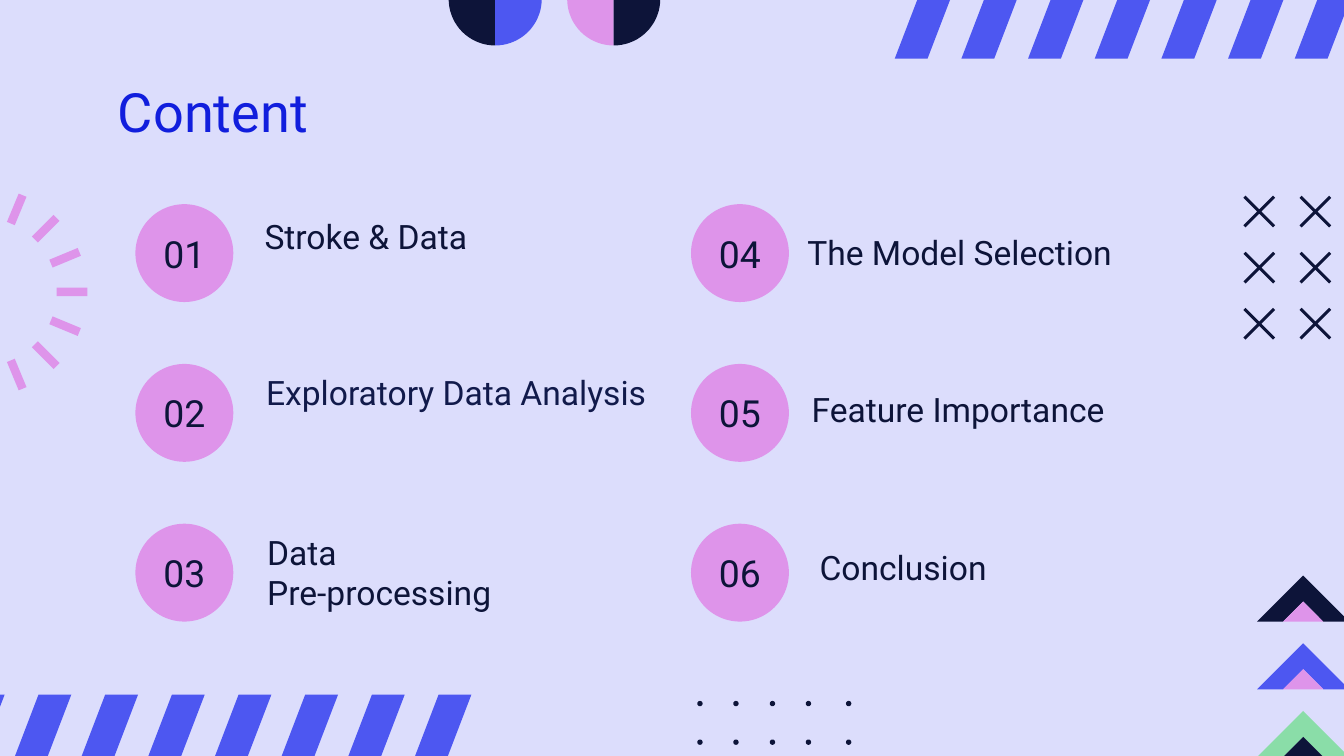
from math import cos, pi, sin

from pptx import Presentation
from pptx.dml.color import RGBColor
from pptx.enum.shapes import MSO_SHAPE
from pptx.enum.text import MSO_ANCHOR, MSO_AUTO_SIZE, PP_ALIGN
from pptx.util import Cm, Pt

FONT = "Roboto"
COLORS = {
    "background": "DCDDFC",
    "navy": "0D1439",
    "indigo": "111A4B",
    "blue": "4D57F1",
    "title": "111EDD",
    "pink": "DE94EA",
    "green": "8ADDA8",
}

# Number, label lines, label left, top, width (cm) and colour
TOPICS = [
    ("01", ["Stroke & Data"], 4.75, 3.84, 7.95, "navy"),
    ("02", ["Exploratory Data Analysis"], 4.78, 6.78, 7.95, "indigo"),
    ("03", ["Data", "Pre-processing"], 4.80, 9.80, 7.57, "navy"),
    ("04", ["The Model Selection"], 15.01, 4.14, 9.07, "navy"),
    ("05", ["Feature Importance"], 15.09, 7.11, 8.36, "navy"),
    ("06", ["Conclusion"], 15.24, 10.08, 7.95, "navy"),
]


def color(name):
    return RGBColor.from_string(COLORS[name])


def paint(shape, fill):
    shape.shadow.inherit = False
    shape.fill.solid()
    shape.fill.fore_color.rgb = color(fill)
    shape.line.fill.background()


def format_text(frame, lines, size, text_color, align=PP_ALIGN.LEFT, margin=0.25):
    frame.word_wrap = True
    frame.auto_size = MSO_AUTO_SIZE.NONE
    frame.margin_left = frame.margin_right = Cm(margin)
    frame.margin_top = frame.margin_bottom = Cm(margin)
    frame.text = "\n".join(lines)
    for paragraph in frame.paragraphs:
        paragraph.alignment = align
        paragraph.font.name = FONT
        paragraph.font.size = Pt(size)
        paragraph.font.color.rgb = color(text_color)


def add_outline(slide, contours, fill):
    """Draw one filled shape from closed contours given in cm."""
    builder = None
    for contour in contours:
        points = [(Cm(x), Cm(y)) for x, y in contour]
        if builder is None:
            builder = slide.shapes.build_freeform(*points[0])
        else:
            builder.move_to(*points[0])
        builder.add_line_segments(points[1:], close=True)
    paint(builder.convert_to_shape(), fill)


def arc(x, y, radius, start, end, steps):
    angles = [start + (end - start) * i / steps for i in range(steps + 1)]
    return [(x + radius * cos(a), y + radius * sin(a)) for a in angles]


def add_split_disc(slide, x, left_fill, right_fill):
    for start, fill in ((pi / 2, left_fill), (-pi / 2, right_fill)):
        add_outline(slide, [arc(x, -0.02, 0.88, start, start + pi, 36)], fill)


def add_stripes(slide, left, top):
    width, slant, height, pitch = 0.62, 0.82, 2.14, 1.26
    stripes = []
    for i in range(8):
        x = left + i * pitch
        stripes.append([(x + slant, top), (x + slant + width, top),
                        (x + width, top + height), (x, top + height)])
    add_outline(slide, stripes, "blue")


def add_chevron(slide, base, fill, inner_fill):
    x, half, inner = 24.63, 0.87, 0.38
    notch = [(x - inner, base), (x, base - inner), (x + inner, base)]
    add_outline(slide, [[(x - half, base), *notch, (x + half, base), (x, base - half)]], fill)
    add_outline(slide, [notch], inner_fill)


def add_dots(slide):
    columns = (13.23, 13.91, 14.60, 15.28, 16.04)
    dots = [arc(x, 13.30 + row * 0.73, 0.05, 0, 2 * pi, 16)
            for x in columns for row in range(4)]
    add_outline(slide, dots, "navy")


def add_sunburst(slide):
    x, y, inner, outer, half = -0.33, 5.52, 1.40, 1.98, 0.08
    rays = []
    for i in range(16):
        c, s = cos(i * pi / 8), sin(i * pi / 8)
        corners = ((inner, -half), (outer, -half), (outer, half), (inner, half))
        rays.append([(x + r * c - w * s, y + r * s + w * c) for r, w in corners])
    add_outline(slide, rays, "pink")


def add_crosses(slide):
    arm, notch, pitch = 0.30, 0.04, 1.06
    side = [(0, -notch), (arm - notch, -arm), (arm, notch - arm),
            (notch, 0), (arm, arm - notch), (arm - notch, arm)]
    cross = side + [(-x, -y) for x, y in side]
    crosses = [[(23.80 + column * pitch + x, 4.00 + row * pitch + y) for x, y in cross]
               for column in range(2) for row in range(3)]
    add_outline(slide, crosses, "navy")


def add_title(slide, text):
    title = slide.shapes.title
    title.left, title.top, title.width, title.height = Cm(1.98), Cm(1.24), Cm(21.44), Cm(1.60)
    format_text(title.text_frame, [text], 29, "title")
    title.text_frame.vertical_anchor = MSO_ANCHOR.TOP


def add_number(slide, number, left, top):
    circle = slide.shapes.add_shape(MSO_SHAPE.OVAL, Cm(left), Cm(top), Cm(1.85), Cm(1.85))
    paint(circle, "pink")
    format_text(circle.text_frame, [number], 20, "navy", PP_ALIGN.CENTER, 0)
    circle.text_frame.vertical_anchor = MSO_ANCHOR.MIDDLE


def add_label(slide, lines, left, top, width, text_color):
    label = slide.shapes.add_textbox(Cm(left), Cm(top), Cm(width), Cm(0.84))
    format_text(label.text_frame, lines, 18, text_color)


def main():
    presentation = Presentation()
    presentation.slide_width, presentation.slide_height = Cm(25.4), Cm(14.29)
    slide = presentation.slides.add_slide(presentation.slide_layouts[5])
    slide.background.fill.solid()
    slide.background.fill.fore_color.rgb = color("background")

    # Decoration along the edges
    add_split_disc(slide, 9.36, "navy", "blue")
    add_split_disc(slide, 11.60, "pink", "navy")
    chevrons = (("navy", "pink"), ("blue", "pink"), ("green", "navy"))
    for i, (fill, inner_fill) in enumerate(chevrons):
        add_chevron(slide, 11.75 + i * 1.28, fill, inner_fill)
    add_dots(slide)
    add_stripes(slide, -1.35, 13.13)
    add_stripes(slide, 16.91, -1.03)
    add_sunburst(slide)
    add_crosses(slide)

    # Title and numbered topics, three per column
    add_title(slide, "Content")
    for i, (number, lines, left, top, width, text_color) in enumerate(TOPICS):
        column, row = divmod(i, 3)
        add_number(slide, number, 2.56 + column * 10.50, 3.86 + row * 3.02)
        add_label(slide, lines, left, top, width, text_color)

    presentation.save("out.pptx")


if __name__ == "__main__":
    main()
